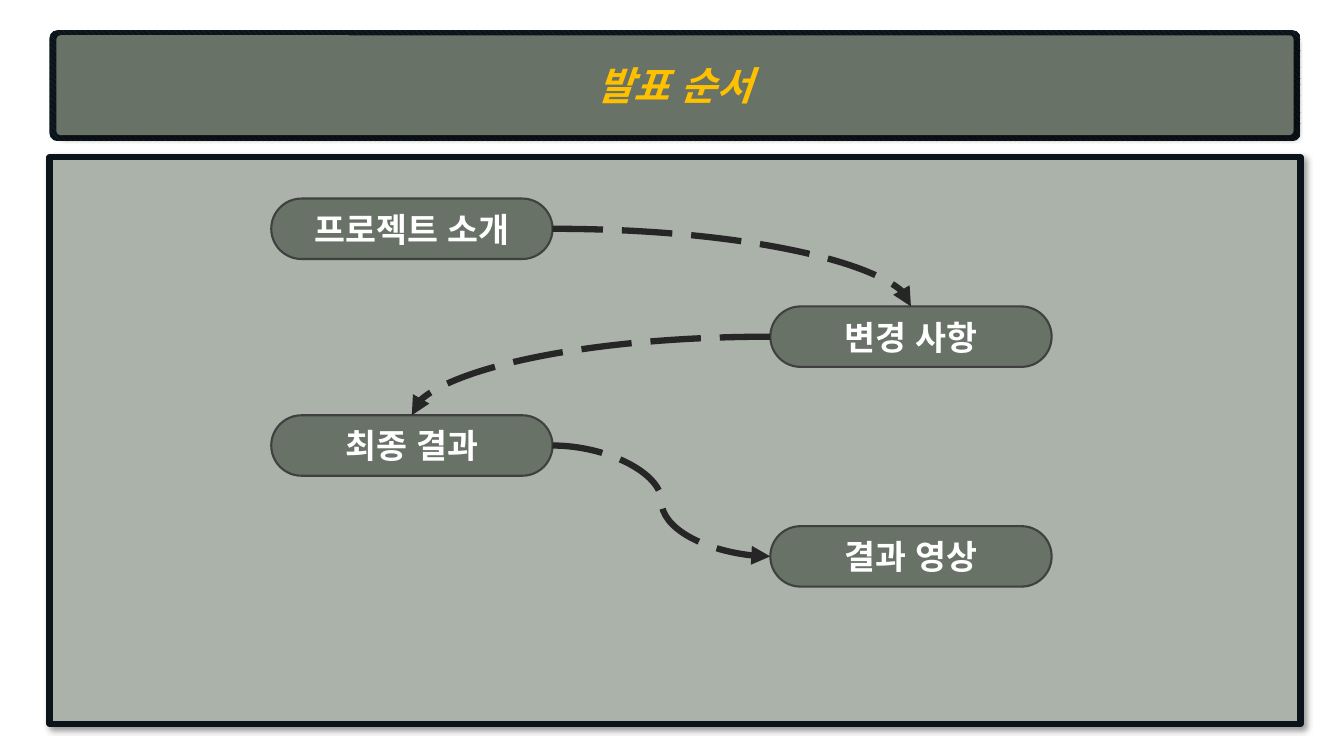
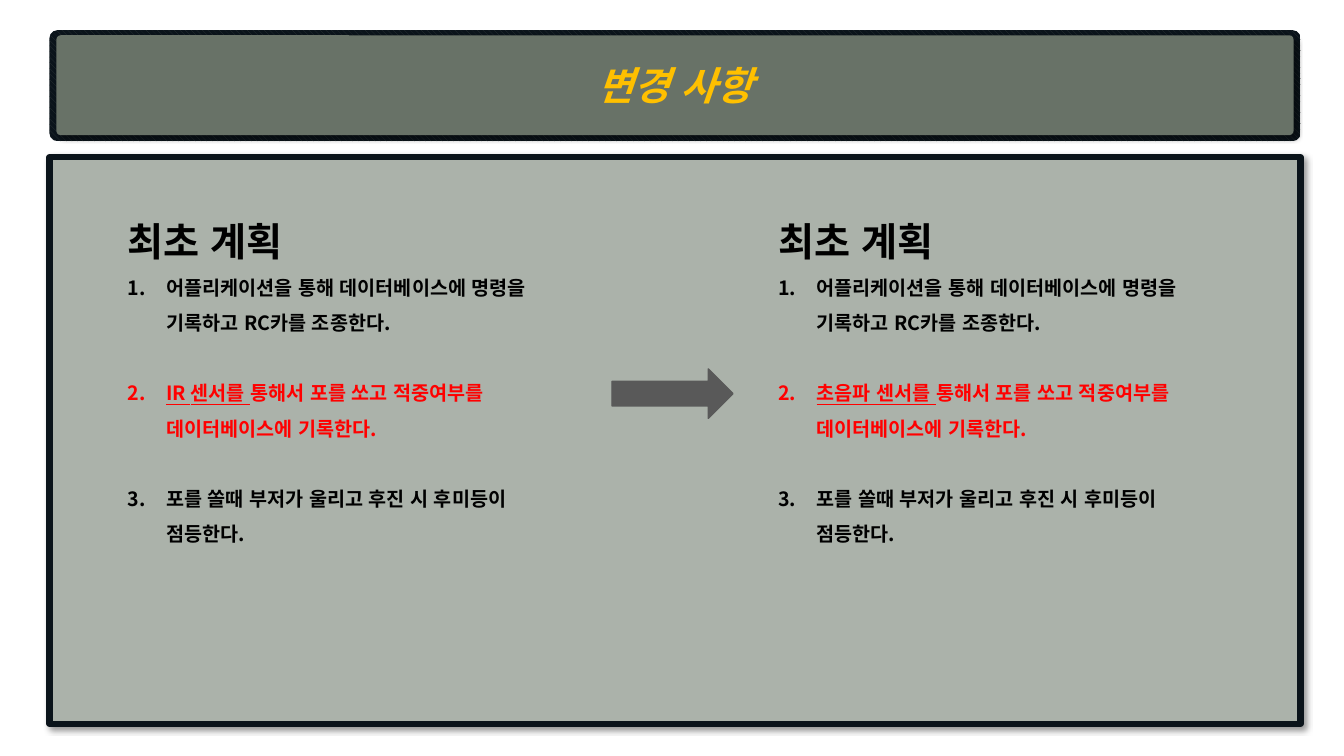
"""Build the agenda and change-summary slides of a project presentation."""
from dataclasses import dataclass

from lxml import etree
from pptx import Presentation
from pptx import util as u
from pptx.dml.color import RGBColor
from pptx.enum import dml, lang, shapes, text
from pptx.oxml import ns


@dataclass(frozen=True)
class Theme:
    """Colours, type sizes and font shared by all slides."""

    font: str = "Noto Sans CJK KR"
    frame: str = "0B141B"
    hatch: str = "2B3335"
    band: str = "687267"
    panel: str = "ABB2AA"
    pill_line: str = "404040"
    link: str = "262626"
    arrow: str = "595959"
    title: str = "FFC000"
    light: str = "FFFFFF"
    dark: str = "000000"
    changed: str = "FF0000"
    title_size: int = 28
    pill_size: int = 24
    body_size: int = 14


THEME = Theme()
TOP, LEFT, RIGHT = 0, 1, 3

PILLS = [
    ("프로젝트 소개", 2.69, 1.97),
    ("변경 사항", 7.64, 3.04),
    ("최종 결과", 2.69, 4.12),
    ("결과 영상", 7.64, 5.22),
]
LINKS = [
    (RIGHT, TOP, "curvedConnector2"),
    (LEFT, TOP, "curvedConnector2"),
    (RIGHT, LEFT, "curvedConnector3"),
]
PLANS = [(1.17, "IR 센서를 "), (7.62, "초음파 센서를 ")]


def inches(*lengths):
    """Convert lengths in inches to slide units."""
    return [u.Inches(length) for length in lengths]


def add_element(parent, tag, **attributes):
    """Append a DrawingML element and return it."""
    return etree.SubElement(parent, ns.qn(tag), attributes)


def add_span(para, content, *, size, color, italic=False, underline=False):
    """Add a bold formatted run to a paragraph."""
    span = para.add_run()
    span.text = content
    font = span.font
    font.name = THEME.font
    font.size = u.Pt(size)
    font.bold = True
    font.italic = italic
    font.underline = underline
    font.color.rgb = RGBColor.from_string(color)
    font.language_id = lang.MSO_LANGUAGE_ID.KOREAN
    latin = span._r.find(".//" + ns.qn("a:latin"))
    latin.addnext(latin.makeelement(ns.qn("a:ea"), {"typeface": THEME.font}))


def add_label(box, content, **style):
    """Put one centred line of text in a shape."""
    frame = box.text_frame
    frame.vertical_anchor = text.MSO_ANCHOR.MIDDLE
    para = frame.paragraphs[0]
    para.alignment = text.PP_ALIGN.CENTER
    add_span(para, content, **style)


def add_box(parent, place, fill, *, line=None, width=1, corner=None,
            kind=shapes.MSO_SHAPE.ROUNDED_RECTANGLE):
    """Add a filled preset shape without a shadow."""
    box = parent.shapes.add_shape(kind, *inches(*place))
    box.shadow.inherit = False
    box.fill.solid()
    box.fill.fore_color.rgb = RGBColor.from_string(fill)
    if line:
        box.line.color.rgb = RGBColor.from_string(line)
        box.line.width = u.Pt(width)
    else:
        box.line.fill.background()
    if corner is not None:
        box.adjustments[0] = corner
    return box


def add_shadow(box):
    """Give a shape the soft shadow of the panels."""
    effects = box.element.spPr.find(ns.qn("a:effectLst"))
    shadow = add_element(effects, "a:outerShdw", blurRad=str(u.Pt(4)),
                         dist=str(u.Pt(3)), dir="2700000", algn="tl",
                         rotWithShape="0")
    color = add_element(shadow, "a:srgbClr", val=THEME.dark)
    add_element(color, "a:alpha", val="40000")


def add_page(deck, title):
    """Add a slide with the title band and the content panel."""
    page = deck.slides.add_slide(deck.slide_layouts[6])
    group = page.shapes.add_group_shape()
    rim = add_box(group, (0.49, 0.3, 12.41, 1.1), THEME.frame, corner=0.071)
    rim.fill.patterned()
    rim.fill.pattern = dml.MSO_PATTERN.WIDE_DOWNWARD_DIAGONAL
    rim.fill.fore_color.rgb = RGBColor.from_string(THEME.hatch)
    rim.fill.back_color.rgb = RGBColor.from_string(THEME.frame)
    band = add_box(group, (0.56, 0.35, 12.27, 0.99), THEME.band, corner=0.042)
    add_shadow(band)
    add_label(band, title, size=THEME.title_size, color=THEME.title, italic=True)
    panel = add_box(page, (0.49, 1.56, 12.41, 5.62), THEME.panel,
                    line=THEME.frame, width=4.5, corner=0)
    add_shadow(panel)
    return page


def add_pill(page, content, left, top):
    """Add one agenda step."""
    pill = add_box(page, (left, top, 2.79, 0.6), THEME.band,
                   line=THEME.pill_line, width=1.5, corner=0.5)
    add_label(pill, content, size=THEME.pill_size, color=THEME.light)
    return pill


def add_link(page, start, end, start_site, end_site, curve):
    """Join two steps with a dashed curved arrow."""
    link = page.shapes.add_connector(shapes.MSO_CONNECTOR.CURVE, 0, 0, 0, 0)
    link.begin_connect(start, start_site)
    link.end_connect(end, end_site)
    link.line.color.rgb = RGBColor.from_string(THEME.link)
    link.line.width = u.Pt(4.5)
    link.line.dash_style = dml.MSO_LINE.LONG_DASH
    properties = link.element.spPr
    properties.find(ns.qn("a:prstGeom")).set("prst", curve)
    add_element(properties.find(ns.qn("a:ln")), "a:tailEnd", type="triangle")
    add_element(properties, "a:effectLst")


def add_numbered(frame, spans, gap):
    """Add a numbered paragraph made of text and format pairs."""
    para = frame.add_paragraph()
    para.line_spacing = 1.5
    para.space_before = u.Pt(gap)
    properties = para._p.get_or_add_pPr()
    indent = u.Inches(0.38)
    properties.set("marL", str(indent))
    properties.set("indent", str(-indent))
    add_element(properties, "a:buFont", typeface="+mj-lt")
    add_element(properties, "a:buAutoNum", type="arabicPeriod")
    for content, style in spans:
        add_span(para, content, size=THEME.body_size, **style)


def add_plan(page, left, sensor):
    """Add a plan heading with its three numbered points."""
    box = page.shapes.add_textbox(*inches(left, 1.87, 4.55, 3.59))
    frame = box.text_frame
    frame.word_wrap = True
    frame.auto_size = text.MSO_AUTO_SIZE.SHAPE_TO_FIT_TEXT
    heading = frame.paragraphs[0]
    heading.line_spacing = 1.5
    add_span(heading, "최초 계획", size=THEME.title_size, color=THEME.dark)
    plain = {"color": THEME.dark}
    changed = {"color": THEME.changed}
    points = [
        [("어플리케이션을 통해 데이터베이스에 명령을 기록하고 RC카를 조종한다.", plain)],
        [(sensor, {**changed, "underline": True}),
         ("통해서 포를 쏘고 적중여부를 데이터베이스에 기록한다.", changed)],
        [("포를 쏠때 부저가 울리고 후진 시 후미등이 점등한다.", plain)],
    ]
    for index, spans in enumerate(points):
        add_numbered(frame, spans, gap=25 if index else 0)


def add_agenda(deck):
    """Build the agenda slide."""
    page = add_page(deck, "발표 순서")
    pills = [add_pill(page, *pill) for pill in PILLS]
    for start, end, link in zip(pills, pills[1:], LINKS):
        add_link(page, start, end, *link)


def add_changes(deck):
    """Build the slide that compares the two plans."""
    page = add_page(deck, "변경 사항")
    for plan in PLANS:
        add_plan(page, *plan)
    add_box(page, (6.07, 3.66, 1.2, 0.49), THEME.arrow, line=THEME.arrow,
            kind=shapes.MSO_SHAPE.RIGHT_ARROW)


def main():
    """Build and save the deck."""
    deck = Presentation()
    deck.slide_width, deck.slide_height = inches(13.33, 7.5)
    add_agenda(deck)
    add_changes(deck)
    deck.save("out.pptx")


if __name__ == "__main__":
    main()
